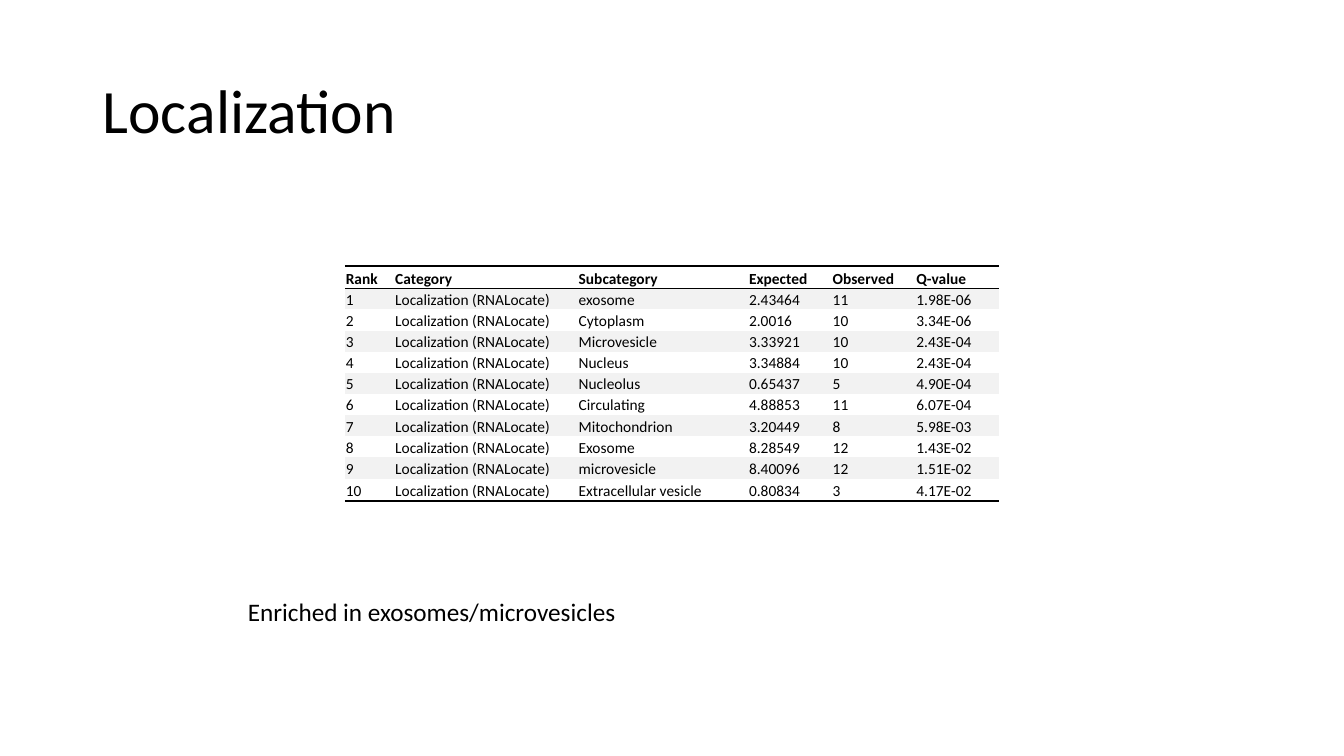
import pptx
import pptx.util
import pptx.dml.color
import pptx.enum.text
import pptx.oxml.ns
import lxml.etree

Inches, Pt = pptx.util.Inches, pptx.util.Pt
ANCHOR = pptx.enum.text.MSO_ANCHOR

TITLE = "Localization"
CONCLUSION = "Enriched in exosomes/microvesicles"
CATEGORY = "Localization (RNALocate)"
HEADER = ("Rank", "Category", "Subcategory", "Expected", "Observed", "Q-value")
ENRICHMENT = [  # subcategory, expected, observed, Q-value
    ("exosome", "2.43464", "11", "1.98E-06"),
    ("Cytoplasm", "2.0016", "10", "3.34E-06"),
    ("Microvesicle", "3.33921", "10", "2.43E-04"),
    ("Nucleus", "3.34884", "10", "2.43E-04"),
    ("Nucleolus", "0.65437", "5", "4.90E-04"),
    ("Circulating", "4.88853", "11", "6.07E-04"),
    ("Mitochondrion", "3.20449", "8", "5.98E-03"),
    ("Exosome", "8.28549", "12", "1.43E-02"),
    ("microvesicle", "8.40096", "12", "1.51E-02"),
    ("Extracellular vesicle", "0.80834", "3", "4.17E-02"),
]
COLUMN_WIDTHS = (0.49, 1.82, 1.69, 0.83, 0.83, 0.83)
EDGE_ROW_HEIGHT, ROW_HEIGHT = 0.22, 0.21
THICK, THIN = 1.5, 0.5
COLORS = {"text": "000000", "rule": "000000", "plain": "FFFFFF", "band": "F2F2F2"}


def rgb(name):
    return pptx.dml.color.RGBColor.from_string(COLORS[name])


def style_text(paragraph, size, bold=False):
    paragraph.font.name = "Calibri"
    paragraph.font.size = Pt(size)
    paragraph.font.bold = bold
    paragraph.font.color.rgb = rgb("text")


def add_text(slide, text, left, top, width, height, size, anchor):
    frame = slide.shapes.add_textbox(
        Inches(left), Inches(top), Inches(width), Inches(height)).text_frame
    frame.word_wrap = True
    frame.vertical_anchor = anchor
    paragraph = frame.paragraphs[0]
    paragraph.text = text
    style_text(paragraph, size)
    return paragraph


def set_borders(cell, top, bottom):
    """Rule the cell above and below; a width of 0 leaves that side open."""
    properties = cell._tc.get_or_add_tcPr()
    qn = pptx.oxml.ns.qn
    for side, width in (("L", 0), ("R", 0), ("T", top), ("B", bottom)):
        line = lxml.etree.SubElement(properties, qn(f"a:ln{side}"), w=str(Pt(width)))
        if width:
            fill = lxml.etree.SubElement(line, qn("a:solidFill"))
            lxml.etree.SubElement(fill, qn("a:srgbClr"), val=COLORS["rule"])
        else:
            lxml.etree.SubElement(line, qn("a:noFill"))


def add_enrichment_table(slide, left, top):
    rows = [HEADER] + [(str(rank), CATEGORY, *values)
                       for rank, values in enumerate(ENRICHMENT, 1)]
    last = len(rows) - 1
    heights = [EDGE_ROW_HEIGHT if r in (0, last) else ROW_HEIGHT for r in range(len(rows))]
    table = slide.shapes.add_table(
        len(rows), len(HEADER), Inches(left), Inches(top),
        Inches(sum(COLUMN_WIDTHS)), Inches(sum(heights))).table
    table.first_row = table.horz_banding = False
    for column, width in zip(table.columns, COLUMN_WIDTHS):
        column.width = Inches(width)

    top_rules = {0: THICK, 1: THIN}
    bottom_rules = {0: THIN, last: THICK}
    for r, values in enumerate(rows):
        table.rows[r].height = Inches(heights[r])
        for c, value in enumerate(values):
            cell = table.cell(r, c)
            cell.text = value
            cell.vertical_anchor = ANCHOR.BOTTOM
            cell.margin_left = cell.margin_right = cell.margin_top = Inches(0.01)
            cell.margin_bottom = 0
            style_text(cell.text_frame.paragraphs[0], 11, bold=r == 0)
            set_borders(cell, top_rules.get(r, 0), bottom_rules.get(r, 0))
            cell.fill.solid()
            cell.fill.fore_color.rgb = rgb("band" if r % 2 else "plain")


def main():
    deck = pptx.Presentation()
    deck.slide_width, deck.slide_height = Inches(13.33), Inches(7.5)
    slide = deck.slides.add_slide(deck.slide_layouts[6])
    title = add_text(slide, TITLE, 0.92, 0.4, 11.5, 1.45, 44, ANCHOR.MIDDLE)
    title.line_spacing = 0.9
    add_text(slide, CONCLUSION, 2.36, 5.87, 6.72, 0.4, 18, ANCHOR.TOP)
    add_enrichment_table(slide, 3.42, 2.64)
    deck.save("out.pptx")


if __name__ == "__main__":
    main()
